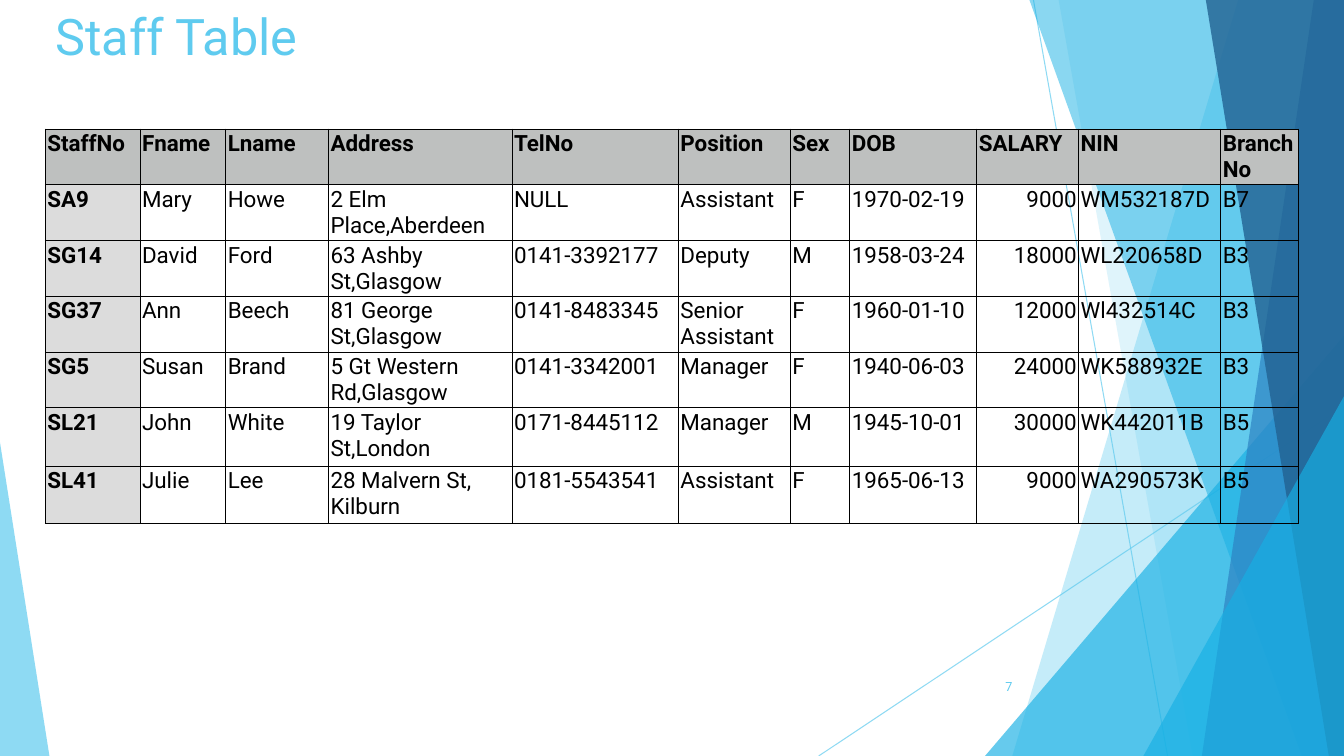
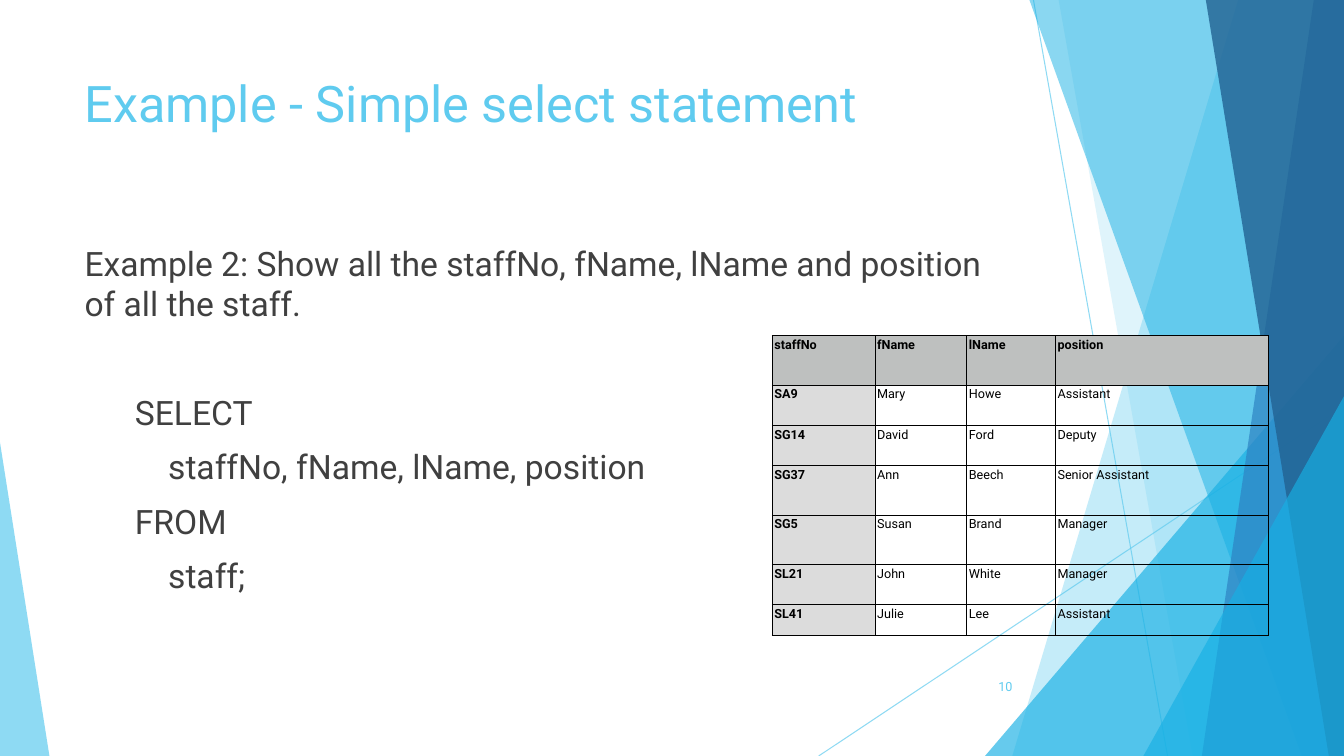
from dataclasses import dataclass
from typing import NamedTuple

from lxml import etree
from pptx import Presentation
from pptx import util as u
from pptx.dml.color import RGBColor
from pptx.enum import shapes, text
from pptx.oxml import ns

FONT = "Roboto"
SKY, AZURE, BLUE, NAVY = "5FCBEF", "17B0E4", "2E83C3", "226292"
BLACK, BODY_GREY, HEADER_GREY, KEY_GREY = "000000", "404040", "BEC0BF", "DCDCDC"
SLIDE_WIDTH, SLIDE_HEIGHT = 13.33, 7.5
CELL_INSET = u.Inches(0.02)
HAIRLINE = u.Pt(0.75)


class Box(NamedTuple):
    left: float
    top: float
    width: float
    height: float

    def lengths(self) -> list[int]:
        return [u.Inches(value) for value in self]


@dataclass(frozen=True)
class Ray:
    start: tuple[float, float]
    end: tuple[float, float]


@dataclass(frozen=True)
class Band:
    top_x: float
    bottom_x: float
    color: str
    opacity: int


@dataclass(frozen=True)
class Wedge:
    box: Box
    apex: float
    color: str
    opacity: int


@dataclass(frozen=True)
class Line:
    wording: str
    indent: float = 0
    space_before: float = 0


@dataclass(frozen=True)
class Grid:
    box: Box
    widths: list[float]
    heights: list[float]
    size: float
    rows: list[tuple[str, ...]]
    right_aligned: tuple[int, ...] = ()


RAYS = [Ray((10.25, 0), (11.58, 7.5)), Ray((13.33, 4.03), (8.12, 7.5))]
FACETS = [
    Band(12.28, 10.04, SKY, 36),
    Band(10.5, 11.83, SKY, 20),
    Wedge(Box(9.77, 3.33, 3.56, 4.17), 1, AZURE, 66),
    Band(10.21, 12.91, AZURE, 50),
    Band(13.03, 11.92, BLUE, 70),
    Band(11.96, 13.18, NAVY, 80),
    Wedge(Box(11.34, 3.93, 1.99, 3.57), 1, AZURE, 66),
    Wedge(Box(0, 4.39, 0.49, 3.11), 0, SKY, 70),
]
STAFF_FIELDS = ("StaffNo", "Fname", "Lname", "Address", "TelNo", "Position",
                "Sex", "DOB", "SALARY", "NIN", "Branch No")
STAFF = [
    ("SA9", "Mary", "Howe", "2 Elm Place,Aberdeen", "NULL", "Assistant",
     "F", "1970-02-19", "9000", "WM532187D", "B7"),
    ("SG14", "David", "Ford", "63 Ashby St,Glasgow", "0141-3392177", "Deputy",
     "M", "1958-03-24", "18000", "WL220658D", "B3"),
    ("SG37", "Ann", "Beech", "81 George St,Glasgow", "0141-8483345", "Senior Assistant",
     "F", "1960-01-10", "12000", "Wl432514C", "B3"),
    ("SG5", "Susan", "Brand", "5 Gt Western Rd,Glasgow", "0141-3342001", "Manager",
     "F", "1940-06-03", "24000", "WK588932E", "B3"),
    ("SL21", "John", "White", "19 Taylor St,London", "0171-8445112", "Manager",
     "M", "1945-10-01", "30000", "WK442011B", "B5"),
    ("SL41", "Julie", "Lee", "28 Malvern St, Kilburn", "0181-5543541", "Assistant",
     "F", "1965-06-13", "9000", "WA290573K", "B5"),
]
SELECTED = [STAFF_FIELDS.index(field) for field in ("StaffNo", "Fname", "Lname", "Position")]
SALARY = STAFF_FIELDS.index("SALARY")

STAFF_GRID = Grid(
    Box(0.45, 1.28, 12.43, 4.02),
    [0.94, 0.85, 1.02, 1.82, 1.65, 1.11, 0.59, 1.26, 1.01, 1.41, 0.77],
    [0.3, 0.36, 0.43, 0.45, 0.49, 0.58, 0.57],
    16,
    [STAFF_FIELDS, *STAFF],
    (SALARY,),
)
RESULT_GRID = Grid(
    Box(7.66, 3.33, 4.92, 2.98),
    [1.02, 0.91, 0.88, 2.11],
    [0.49, 0.4, 0.4, 0.49, 0.49, 0.4, 0.31],
    9,
    [("staffNo", "fName", "lName", "position"),
     *(tuple(member[field] for field in SELECTED) for member in STAFF)],
)
QUERY = [
    Line("Example 2: Show all the staffNo, fName, lName and position of all the staff.",
         space_before=10),
    Line("SELECT", 0.5, 49),
    Line("staffNo, fName, lName, position", 0.83, 10),
    Line("FROM", 0.5, 10),
    Line("staff;", 0.83, 10),
]


def rgb(color: str) -> RGBColor:
    return RGBColor.from_string(color)


def set_opacity(properties, percent: int) -> None:
    color = properties.find(".//" + ns.qn("a:srgbClr"))
    etree.SubElement(color, ns.qn("a:alpha"), val=str(percent * 1000))


def style_runs(paragraph, size: float, color: str, bold: bool = False) -> None:
    for run in paragraph.runs:
        run.font.name = FONT
        run.font.size = u.Pt(size)
        run.font.bold = bold
        run.font.color.rgb = rgb(color)


def draw_ray(slide, ray: Ray) -> None:
    ends = [u.Inches(value) for value in (*ray.start, *ray.end)]
    connector = slide.shapes.add_connector(shapes.MSO_CONNECTOR.STRAIGHT, *ends)
    connector.line.color.rgb = rgb(SKY)
    connector.line.width = HAIRLINE
    properties = connector.element.spPr
    set_opacity(properties, 70)
    etree.SubElement(properties, ns.qn("a:effectLst"))


def draw_facet(slide, facet: Band | Wedge) -> None:
    if isinstance(facet, Band):
        corners = [(SLIDE_WIDTH, 0), (SLIDE_WIDTH, SLIDE_HEIGHT),
                   (facet.bottom_x, SLIDE_HEIGHT)]
        outline = slide.shapes.build_freeform(u.Inches(facet.top_x), 0)
        outline.add_line_segments([(u.Inches(x), u.Inches(y)) for x, y in corners])
        shape = outline.convert_to_shape()
    else:
        shape = slide.shapes.add_shape(
            shapes.MSO_SHAPE.ISOSCELES_TRIANGLE, *facet.box.lengths())
        shape.adjustments[0] = facet.apex
    shape.shadow.inherit = False
    shape.line.fill.background()
    shape.fill.solid()
    shape.fill.fore_color.rgb = rgb(facet.color)
    set_opacity(shape.element.spPr, facet.opacity)


def draw_text(slide, box: Box, lines: list[Line], size: float, color: str):
    frame = slide.shapes.add_textbox(*box.lengths()).text_frame
    frame.word_wrap = True
    for index, line in enumerate(lines):
        paragraph = frame.add_paragraph() if index else frame.paragraphs[0]
        paragraph.text = line.wording
        paragraph.space_before = u.Pt(line.space_before)
        if line.indent:
            properties = paragraph._p.get_or_add_pPr()
            properties.set("marL", str(u.Inches(line.indent)))
            properties.set("indent", "0")
        style_runs(paragraph, size, color)
    return frame


def draw_borders(cell) -> None:
    properties = cell._tc.get_or_add_tcPr()
    for side in ("lnL", "lnR", "lnT", "lnB"):
        border = etree.SubElement(properties, ns.qn("a:" + side), w=str(HAIRLINE))
        fill = etree.SubElement(border, ns.qn("a:solidFill"))
        etree.SubElement(fill, ns.qn("a:srgbClr"), val=BLACK)


def fill_cell(cell, wording: str, size: float, background: str | None, right: bool) -> None:
    cell.margin_left = cell.margin_right = cell.margin_top = CELL_INSET
    cell.margin_bottom = 0
    draw_borders(cell)
    if background:
        cell.fill.solid()
        cell.fill.fore_color.rgb = rgb(background)
    else:
        cell.fill.background()
    paragraph = cell.text_frame.paragraphs[0]
    paragraph.text = wording
    paragraph.alignment = text.PP_ALIGN.RIGHT if right else text.PP_ALIGN.LEFT
    style_runs(paragraph, size, BLACK, bold=background is not None)


def draw_grid(slide, grid: Grid) -> None:
    table = slide.shapes.add_table(
        len(grid.heights), len(grid.widths), *grid.box.lengths()).table
    table.first_row = table.horz_banding = False
    for column, width in zip(table.columns, grid.widths):
        column.width = u.Inches(width)
    for row, height in zip(table.rows, grid.heights):
        row.height = u.Inches(height)
    for r, record in enumerate(grid.rows):
        for c, wording in enumerate(record):
            background = HEADER_GREY if r == 0 else KEY_GREY if c == 0 else None
            right = r > 0 and c in grid.right_aligned
            fill_cell(table.cell(r, c), wording, grid.size, background, right)


def add_page(deck, title: str, title_box: Box, number: int):
    slide = deck.slides.add_slide(deck.slide_layouts[6])
    for ray in RAYS:
        draw_ray(slide, ray)
    for facet in FACETS:
        draw_facet(slide, facet)
    draw_text(slide, title_box, [Line(title)], 36, SKY)
    footer = draw_text(slide, Box(9.39, 6.61, 0.75, 0.4), [Line(str(number))], 9, SKY)
    footer.vertical_anchor = text.MSO_ANCHOR.MIDDLE
    footer.paragraphs[0].alignment = text.PP_ALIGN.RIGHT
    return slide


def main() -> None:
    deck = Presentation()
    deck.slide_width = u.Inches(SLIDE_WIDTH)
    deck.slide_height = u.Inches(SLIDE_HEIGHT)

    staff_page = add_page(deck, "Staff Table", Box(0.45, 0, 11.5, 1.45), 7)
    draw_grid(staff_page, STAFF_GRID)

    select_page = add_page(
        deck, "Example - Simple select statement", Box(0.74, 0.67, 9.4, 1.44), 10)
    draw_text(select_page, Box(0.74, 2.36, 9.4, 4.24), QUERY, 24, BODY_GREY)
    draw_grid(select_page, RESULT_GRID)

    deck.save("out.pptx")


main()
